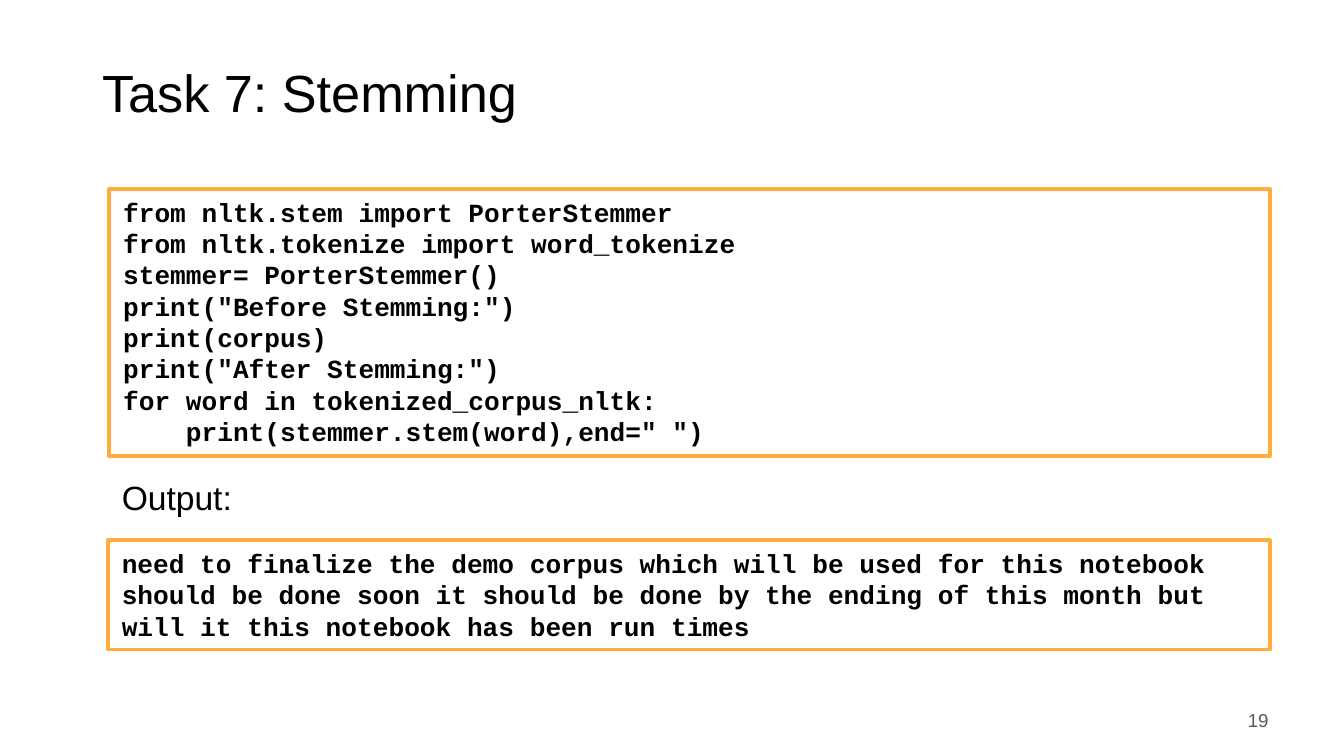
from pptx import Presentation
from pptx import util as u
from pptx.dml import color
from pptx.enum import shapes, text

PX = 9525  # EMU per px at 96 px to the inch

CODE = '''from nltk.stem import PorterStemmer
from nltk.tokenize import word_tokenize
stemmer= PorterStemmer()
print("Before Stemming:")
print(corpus)
print("After Stemming:")
for word in tokenized_corpus_nltk:
    print(stemmer.stem(word),end=" ")'''

OUTPUT = (
    "need to finalize the demo corpus which will be used for this notebook "
    "should be done soon it should be done by the ending of this month but "
    "will it this notebook has been run times"
)


def px(*lengths):
    return [u.Emu(length * PX) for length in lengths]


def rgb(hex_string):
    return color.RGBColor.from_string(hex_string)


def write(shape, lines, size, font="Arial", bold=False, hex_color="000000",
          align=text.PP_ALIGN.LEFT, anchor=text.MSO_ANCHOR.MIDDLE,
          insets=(7, 4), spacing=1.0):
    """Fill the shape with one paragraph per line, all in one style."""
    frame = shape.text_frame
    frame.word_wrap = True
    frame.vertical_anchor = anchor
    frame.margin_left, frame.margin_top = px(*insets)
    frame.margin_right, frame.margin_bottom = px(*insets)
    frame.text = "\n".join(lines)
    for paragraph in frame.paragraphs:
        paragraph.alignment = align
        paragraph.line_spacing = spacing
        paragraph.font.name = font
        paragraph.font.size = u.Pt(size)
        paragraph.font.bold = bold
        paragraph.font.color.rgb = rgb(hex_color)


def add_label(slide, box, label, size, **style):
    write(slide.shapes.add_textbox(*px(*box)), [label], size, **style)


def add_code_box(slide, box, lines):
    """Add an orange-framed box of bold monospaced text."""
    shape = slide.shapes.add_shape(shapes.MSO_SHAPE.RECTANGLE, *px(*box))
    shape.shadow.inherit = False
    shape.fill.solid()
    shape.fill.fore_color.rgb = rgb("FFFFFF")
    shape.line.color.rgb = rgb("FFAB40")
    shape.line.width = u.Pt(2)
    write(shape, lines, 14, font="Courier New", bold=True,
          anchor=text.MSO_ANCHOR.TOP, insets=(10, 5))


def add_stemming_slide(presentation):
    slide = presentation.slides.add_slide(presentation.slide_layouts[6])
    add_label(slide, (66, 29, 828, 79), "Task 7: Stemming", 28, spacing=0.9)
    add_code_box(slide, (78, 135, 829, 191), CODE.split("\n"))
    add_label(slide, (80, 341, 814, 32), "Output:", 18, spacing=0.9)
    add_code_box(slide, (77, 386, 830, 78), [OUTPUT])
    add_label(slide, (697, 500, 216, 29), "19", 10, hex_color="595959",
              align=text.PP_ALIGN.RIGHT)


def main():
    presentation = Presentation()
    presentation.slide_width, presentation.slide_height = px(960, 540)
    add_stemming_slide(presentation)
    presentation.save("out.pptx")


if __name__ == "__main__":
    main()
